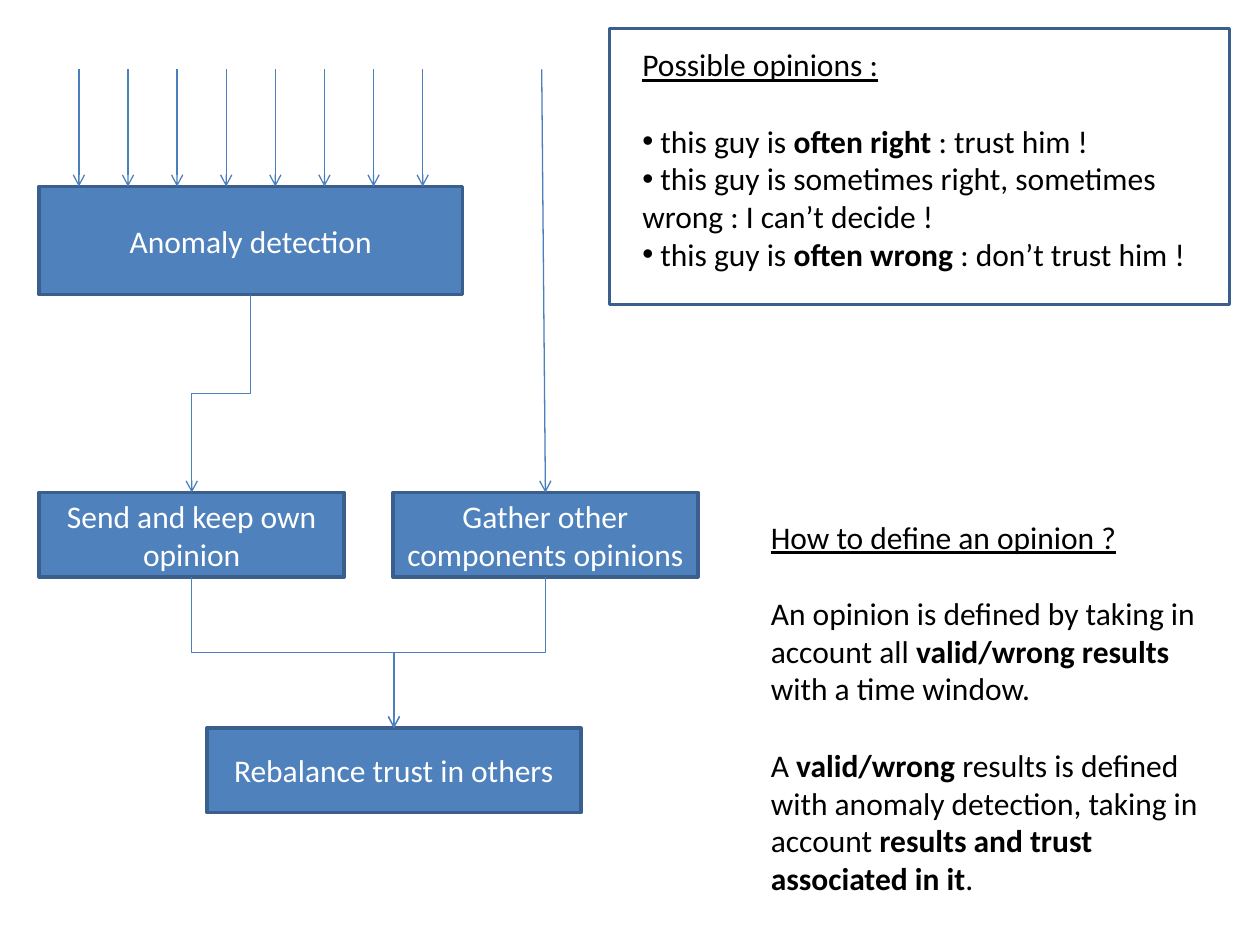
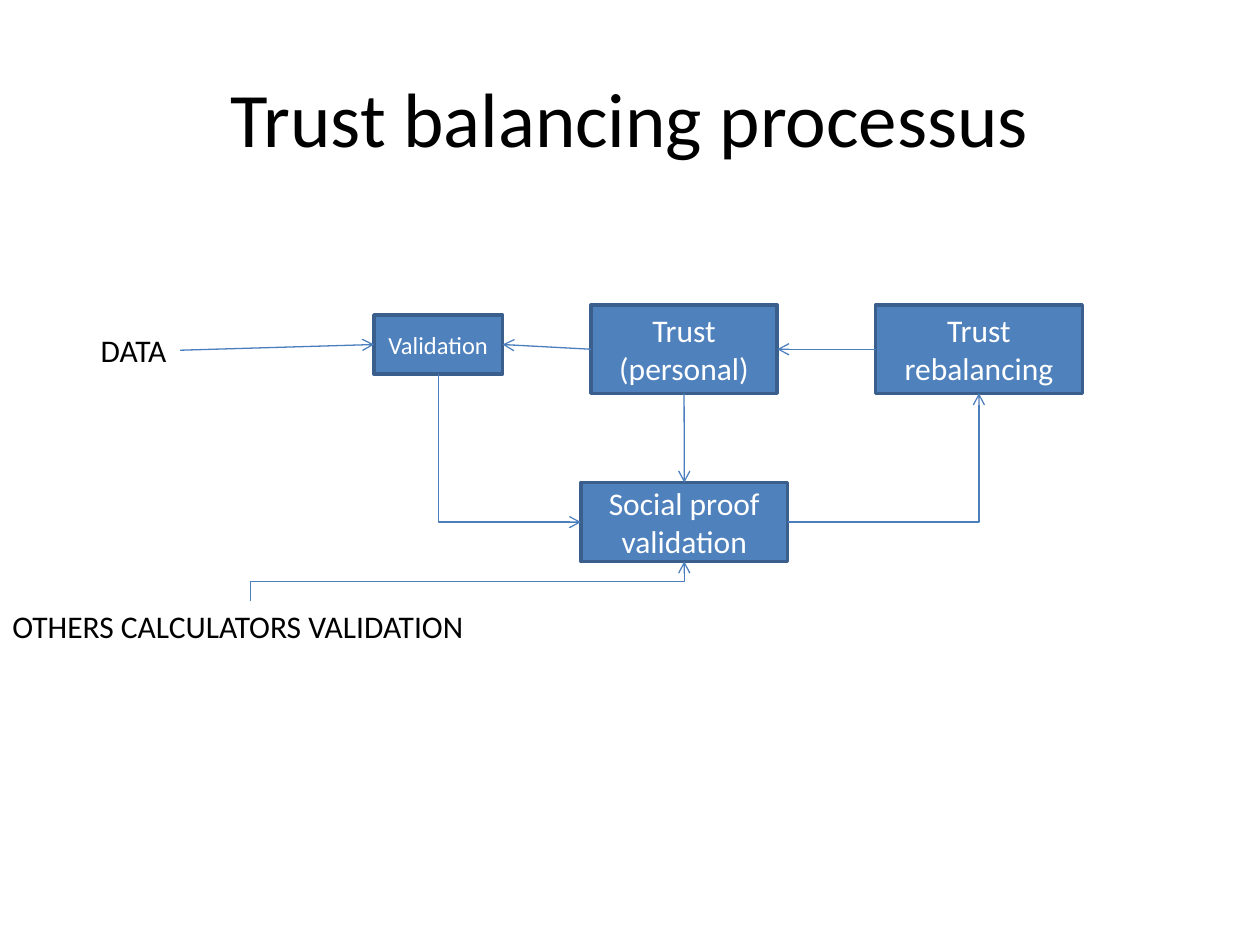
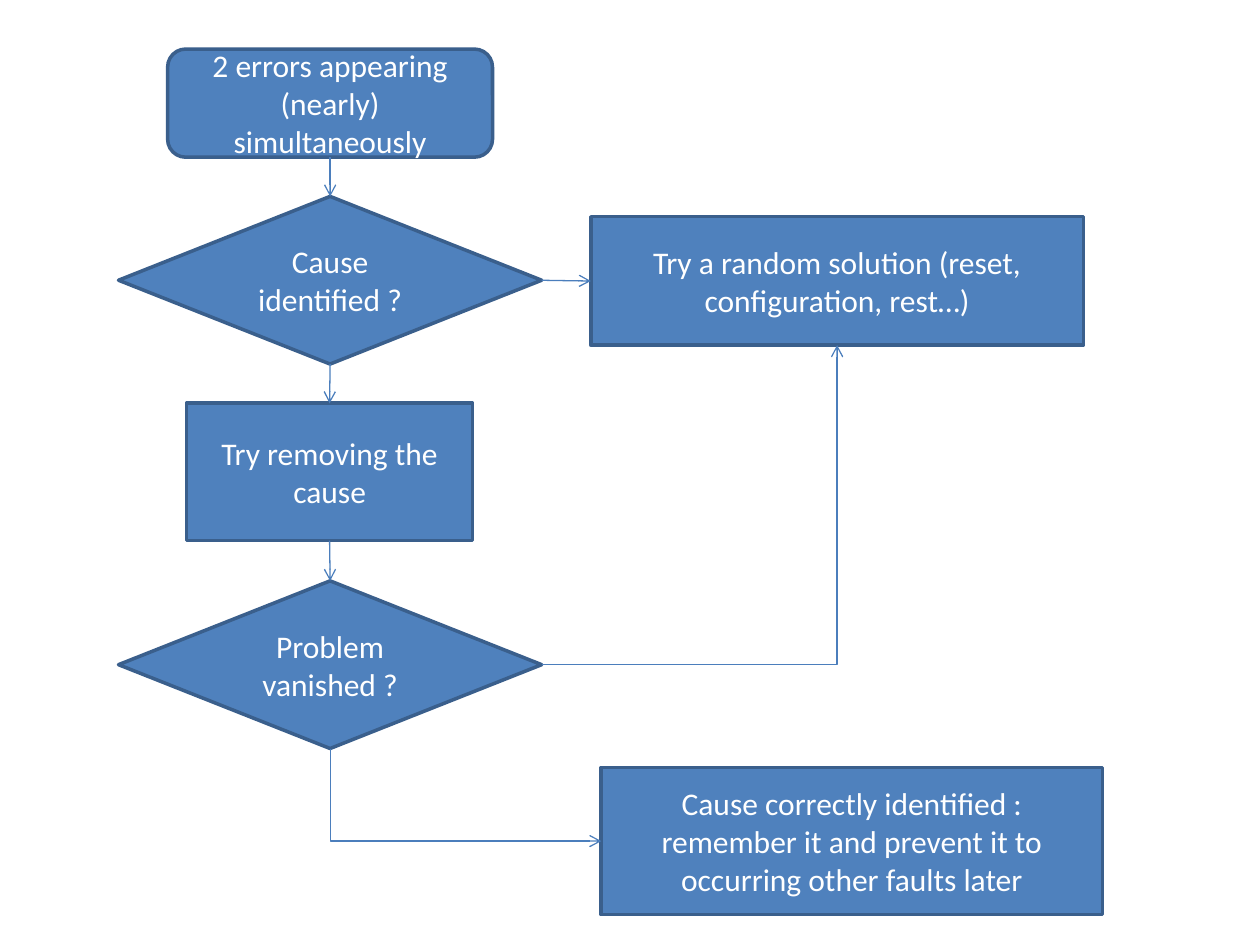
"""Builds three slides about trust balancing and fault handling between components."""
from dataclasses import dataclass

from lxml.etree import SubElement
from pptx import Presentation
from pptx.dml.color import RGBColor
from pptx.enum.shapes import MSO_CONNECTOR as Route, MSO_SHAPE as Form
from pptx.enum.text import MSO_ANCHOR as Anchor, MSO_AUTO_SIZE as Fit, PP_ALIGN as Align
from pptx.oxml.ns import qn
from pptx.util import Cm, Pt


@dataclass(frozen=True)
class Theme:
    font: str = "Calibri"
    fill: str = "4F81BD"
    border: str = "3A5F8C"
    arrow: str = "4B7EBC"
    ink: str = "000000"
    paper: str = "FFFFFF"
    title: int = 44
    body: int = 18
    small: int = 14
    gap: int = 22
    border_width: float = 2
    arrow_width: float = 0.75


THEME = Theme()
TOP, LEFT, BOTTOM, RIGHT = range(4)
STRAIGHT, CORNER, STEP = "straight", "corner", "step"
PROCESS, DECISION = Form.FLOWCHART_PROCESS, Form.FLOWCHART_DECISION

OPINION_STEPS = {
    "anomaly": ("Anomaly detection", PROCESS, (0.79, 3.76, 8.53, 2.18)),
    "send": ("Send and keep own opinion", PROCESS, (0.79, 9.93, 6.15, 1.7)),
    "gather": ("Gather other components opinions", PROCESS, (7.92, 9.93, 6.15, 1.7)),
    "rebalance": ("Rebalance trust in others", PROCESS, (4.17, 14.68, 7.54, 1.7)),
}
OPINION_LINKS = [
    ("anomaly", BOTTOM, "send", TOP, STEP),
    ("send", BOTTOM, "rebalance", TOP, STEP),
    ("gather", BOTTOM, "rebalance", TOP, STEP),
]
INPUT_COUNT, INPUT_START, INPUT_PITCH, INPUT_TOP = 8, 1.59, 0.99, 1.4
OTHERS_INPUT = 10.92
OPINIONS_FRAME = (12.29, 0.58, 12.5, 5.56)
OPINIONS_AT = (12.7, 0.79, 11.91, 4.88)
OPINIONS_HEADING = "Possible opinions :"
OPINIONS = [
    " this guy is **often right** : trust him !",
    " this guy is sometimes right, sometimes wrong : I can’t decide !",
    " this guy is **often wrong** : don’t trust him !",
]
DEFINITION_AT = (15.29, 10.31, 9.37, 7.95)
DEFINITION_HEADING = "How to define an opinion ?"
DEFINITION = [
    "An opinion is defined by taking in account all **valid/wrong results **with a time window.",
    "A **valid/wrong **results is defined with anomaly detection, taking in account "
    "**results and trust associated in it**.",
]

PROCESS_TITLE = "Trust balancing processus"
TITLE_AT = (1.27, 0.76, 22.86, 3.18)
TRUST_STEPS = {
    "trust": ("Trust (personal)", Form.RECTANGLE, (11.91, 6.15, 3.76, 1.78)),
    "validation": ("Validation", Form.RECTANGLE, (7.54, 6.35, 2.59, 1.19), THEME.small),
    "social": ("Social proof validation", Form.RECTANGLE, (11.71, 9.73, 4.17, 1.59)),
    "rebalancing": ("Trust rebalancing", Form.RECTANGLE, (17.65, 6.15, 4.17, 1.78)),
}
TRUST_SOURCES = {
    "data": ("DATA", (1.78, 6.55, 1.85, 1.02), False),
    "others": ("OTHERS CALCULATORS VALIDATION", (0, 12.12, 10.11, 1.02), True),
}
TRUST_LINKS = [
    ("social", RIGHT, "rebalancing", BOTTOM, CORNER),
    ("rebalancing", LEFT, "trust", RIGHT, STRAIGHT),
    ("others", TOP, "social", BOTTOM, STEP),
    ("validation", BOTTOM, "social", LEFT, CORNER),
    ("trust", LEFT, "validation", RIGHT, STRAIGHT),
    ("data", RIGHT, "validation", LEFT, STRAIGHT),
    ("trust", BOTTOM, "social", TOP, STRAIGHT),
]

FAULT_STEPS = {
    "errors": ("2 errors appearing (nearly) simultaneously", Form.ROUNDED_RECTANGLE,
               (3.38, 0.99, 6.55, 2.18)),
    "cause": ("Cause identified ?", DECISION, (2.39, 3.96, 8.53, 3.38)),
    "removing": ("Try removing the cause", PROCESS, (3.76, 8.13, 5.77, 2.77)),
    "random": ("Try a random solution (reset, configuration, rest…)", PROCESS,
               (11.91, 4.37, 9.93, 2.59)),
    "vanished": ("Problem vanished ?", DECISION, (2.39, 11.71, 8.53, 3.38)),
    "learned": ("Cause correctly identified : remember it and prevent it to occurring "
                "other faults later", PROCESS, (12.12, 15.47, 10.11, 2.97)),
}
FAULT_LINKS = [
    ("errors", BOTTOM, "cause", TOP, STRAIGHT),
    ("cause", BOTTOM, "removing", TOP, STRAIGHT),
    ("cause", RIGHT, "random", LEFT, STRAIGHT),
    ("removing", BOTTOM, "vanished", TOP, STRAIGHT),
    ("vanished", RIGHT, "random", BOTTOM, CORNER),
    ("vanished", BOTTOM, "learned", LEFT, CORNER),
]


def place(at):
    return [Cm(length) for length in at]


def style_runs(paragraph, size=THEME.body, colour=THEME.ink):
    for run in paragraph.runs:
        run.font.name = THEME.font
        run.font.size = Pt(size)
        run.font.color.rgb = RGBColor.from_string(colour)


def outline(line, colour, width):
    line.color.rgb = RGBColor.from_string(colour)
    line.width = Pt(width)


def add_frame(slide, form, at):
    frame = slide.shapes.add_shape(form, *place(at))
    frame.shadow.inherit = False
    frame.fill.background()
    outline(frame.line, THEME.border, THEME.border_width)
    return frame


def add_step(slide, words, form, at, size=THEME.body):
    step = add_frame(slide, form, at)
    step.fill.solid()
    step.fill.fore_color.rgb = RGBColor.from_string(THEME.fill)
    step.text_frame.text = words
    step.text_frame.vertical_anchor = Anchor.MIDDLE
    step.text_frame.paragraphs[0].alignment = Align.CENTER
    style_runs(step.text_frame.paragraphs[0], size, THEME.paper)
    return step


def add_label(slide, words, at, wrap=True, size=THEME.body):
    label = slide.shapes.add_textbox(*place(at))
    label.text_frame.word_wrap = wrap
    label.text_frame.auto_size = Fit.SHAPE_TO_FIT_TEXT
    label.text_frame.text = words
    style_runs(label.text_frame.paragraphs[0], size)
    return label


def add_title(slide, words):
    title = add_label(slide, words, TITLE_AT, size=THEME.title)
    title.text_frame.auto_size = Fit.NONE
    title.text_frame.vertical_anchor = Anchor.MIDDLE
    title.text_frame.paragraphs[0].alignment = Align.CENTER


def add_note(slide, heading, passages, at, bulleted):
    note = add_label(slide, heading, at).text_frame
    note.paragraphs[0].runs[0].font.underline = True
    for index, passage in enumerate(passages):
        paragraph = note.add_paragraph()
        for part, words in enumerate(passage.split("**")):
            run = paragraph.add_run()
            run.text = words
            run.font.bold = part % 2 == 1
        style_runs(paragraph)
        if index == 0 or not bulleted:
            paragraph.space_before = Pt(THEME.gap)
        if bulleted:
            properties = paragraph._p.get_or_add_pPr()
            SubElement(properties, qn("a:buFont"), typeface="Arial")
            SubElement(properties, qn("a:buChar"), char="•")


def add_arrow(slide, route=Route.STRAIGHT, start=(0, 0), end=(0, 0)):
    arrow = slide.shapes.add_connector(route, *place(start + end))
    outline(arrow.line, THEME.arrow, THEME.arrow_width)
    SubElement(arrow.line._get_or_add_ln(), qn("a:tailEnd"), type="arrow")
    SubElement(arrow._element.spPr, qn("a:effectLst"))
    return arrow


def leave_vertically(arrow):
    across, down = arrow.end_x - arrow.begin_x, arrow.end_y - arrow.begin_y
    middle_x, middle_y = (arrow.begin_x + arrow.end_x) // 2, (arrow.begin_y + arrow.end_y) // 2
    arrow.width, arrow.height = abs(down), abs(across)
    arrow.left, arrow.top = middle_x - abs(down) // 2, middle_y - abs(across) // 2
    down_right = across > 0 and down > 0
    turn = arrow._element.spPr.find(qn("a:xfrm"))
    turn.set("rot", str((270 if down_right else 90) * 60000))
    turn.set("flipH", str(int(down_right or down < 0)))
    turn.set("flipV", str(int(across > 0 and not down_right)))


def add_links(slide, parts, links):
    for origin, leaving, target, entering, route in links:
        arrow = add_arrow(slide, Route.STRAIGHT if route == STRAIGHT else Route.ELBOW)
        arrow.begin_connect(parts[origin], leaving)
        arrow.end_connect(parts[target], entering)
        if route == CORNER:
            arrow._element.spPr.find(qn("a:prstGeom")).set("prst", "bentConnector2")
        if route != STRAIGHT and leaving in (TOP, BOTTOM):
            leave_vertically(arrow)


def add_steps(slide, steps):
    return {key: add_step(slide, *step) for key, step in steps.items()}


def build_opinions(slide):
    steps = add_steps(slide, OPINION_STEPS)
    anomaly_top = OPINION_STEPS["anomaly"][2][1]
    for index in range(INPUT_COUNT):
        x = INPUT_START + index * INPUT_PITCH
        add_arrow(slide, start=(x, INPUT_TOP), end=(x, anomaly_top))
    others = add_arrow(slide, start=(OTHERS_INPUT, INPUT_TOP), end=(OTHERS_INPUT, INPUT_TOP))
    others.end_connect(steps["gather"], TOP)
    add_links(slide, steps, OPINION_LINKS)
    add_note(slide, OPINIONS_HEADING, OPINIONS, OPINIONS_AT, bulleted=True)
    add_note(slide, DEFINITION_HEADING, DEFINITION, DEFINITION_AT, bulleted=False)
    add_frame(slide, Form.RECTANGLE, OPINIONS_FRAME)


def build_trust(slide):
    add_title(slide, PROCESS_TITLE)
    parts = add_steps(slide, TRUST_STEPS)
    for key, source in TRUST_SOURCES.items():
        parts[key] = add_label(slide, *source)
    add_links(slide, parts, TRUST_LINKS)


def build_faults(slide):
    add_links(slide, add_steps(slide, FAULT_STEPS), FAULT_LINKS)


def main():
    deck = Presentation()
    deck.slide_width, deck.slide_height = Cm(25.4), Cm(19.05)
    blank = deck.slide_layouts[6]
    for build in (build_opinions, build_trust, build_faults):
        build(deck.slides.add_slide(blank))
    deck.save("out.pptx")


if __name__ == "__main__":
    main()
